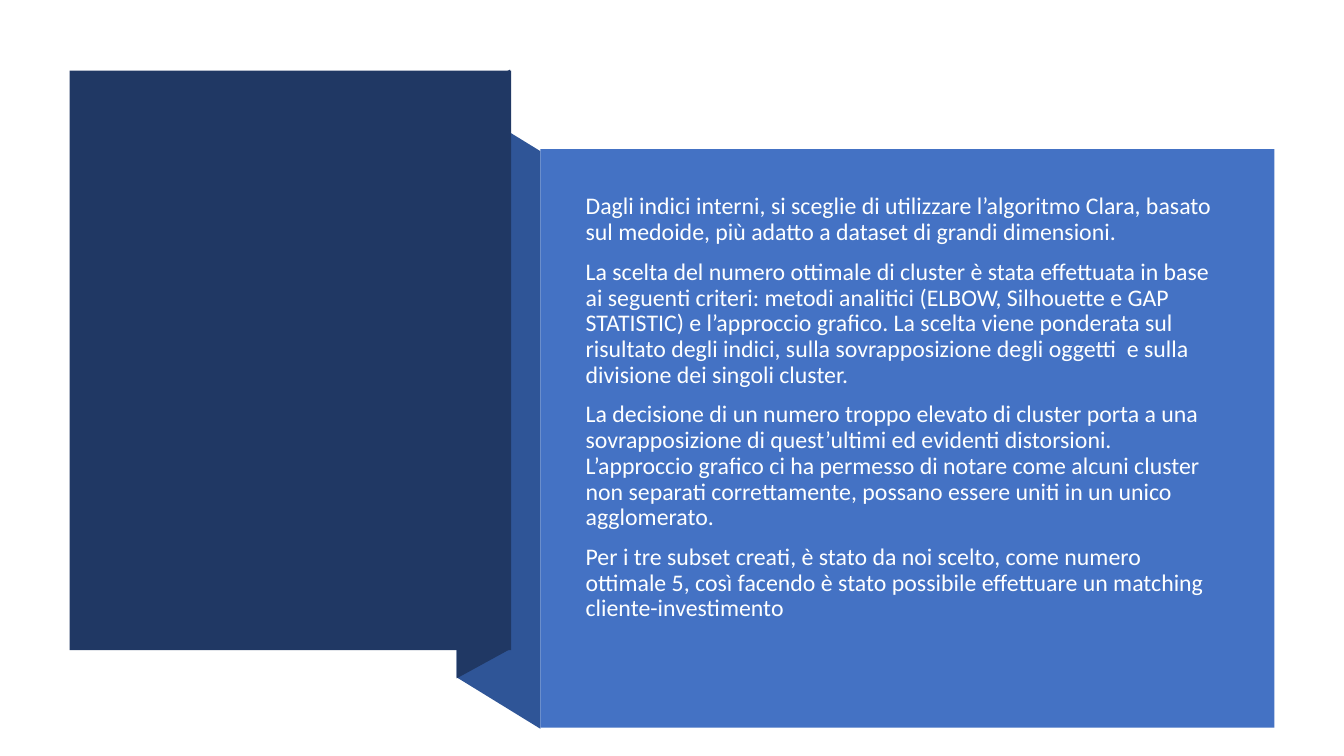
"""Build a folded-ribbon slide on the choice of clustering algorithm and cluster count."""
import pptx
import pptx.util
from pptx.dml.color import RGBColor
from pptx.enum.shapes import MSO_SHAPE
from pptx.enum.text import MSO_ANCHOR, PP_ALIGN
from pptx.util import Inches

THEME = {
    "navy": RGBColor.from_string("203864"),
    "fold": RGBColor.from_string("2F5597"),
    "panel": RGBColor.from_string("4472C4"),
    "text": RGBColor.from_string("FEFFFF"),
    "font": "Calibri",
    "size": pptx.util.Pt(17),
}

PARAGRAPHS = [
    "Dagli indici interni, si sceglie di utilizzare l’algoritmo Clara, basato sul medoide, "
    "più adatto a dataset di grandi dimensioni.",
    "La scelta del numero ottimale di cluster è stata effettuata in base ai seguenti criteri: "
    "metodi analitici (ELBOW, Silhouette e GAP STATISTIC) e l’approccio grafico. "
    "La scelta viene ponderata sul risultato degli indici, sulla sovrapposizione degli oggetti  "
    "e sulla divisione dei singoli cluster.",
    "La decisione di un numero troppo elevato di cluster porta a una sovrapposizione di "
    "quest’ultimi ed evidenti distorsioni. L’approccio grafico ci ha permesso di notare come "
    "alcuni cluster non separati correttamente, possano essere uniti in un unico agglomerato.",
    "Per i tre subset creati, è stato da noi scelto, come numero ottimale 5, così facendo è "
    "stato possibile effettuare un matching cliente-investimento",
]


def paint(sp, color):
    """Give a shape a flat fill without line or shadow."""
    sp.shadow.inherit = False
    sp.fill.solid()
    sp.fill.fore_color.rgb = THEME[color]
    sp.line.fill.background()


prs = pptx.Presentation()
prs.slide_width, prs.slide_height = Inches(13.33), Inches(7.5)
s = prs.slides.add_slide(prs.slide_layouts[6])

folds = [
    ("fold", [(5.36, 7.23), (4.53, 6.72), (4.53, 0.99), (5.36, 1.5)]),
    ("navy", [(5.06, 6.44), (4.53, 6.73), (4.53, 0.98), (5.06, 0.69)]),
]
for color, corners in folds:
    points = [(Inches(x), Inches(y)) for x, y in corners]
    builder = s.shapes.build_freeform(*points[0])
    builder.add_line_segments(points[1:], close=True)
    paint(builder.convert_to_shape(), color)

panels = [("navy", (0.69, 0.7, 4.38, 5.75)), ("panel", (5.36, 1.48, 7.28, 5.74))]
for color, box in panels:
    paint(s.shapes.add_shape(MSO_SHAPE.RECTANGLE, *map(Inches, box)), color)

body = s.shapes.add_textbox(Inches(5.71), Inches(1.88), Inches(6.51), Inches(4.74))
tf = body.text_frame
tf.word_wrap = True
tf.vertical_anchor = MSO_ANCHOR.MIDDLE
tf.margin_bottom = Inches(0.45)
tf.text = "\n".join(PARAGRAPHS)
for p in tf.paragraphs:
    p.alignment = PP_ALIGN.LEFT
    p.line_spacing = 0.9
    p.space_before = pptx.util.Pt(10)
    p.font.name = THEME["font"]
    p.font.size = THEME["size"]
    p.font.color.rgb = THEME["text"]

prs.save("out.pptx")
